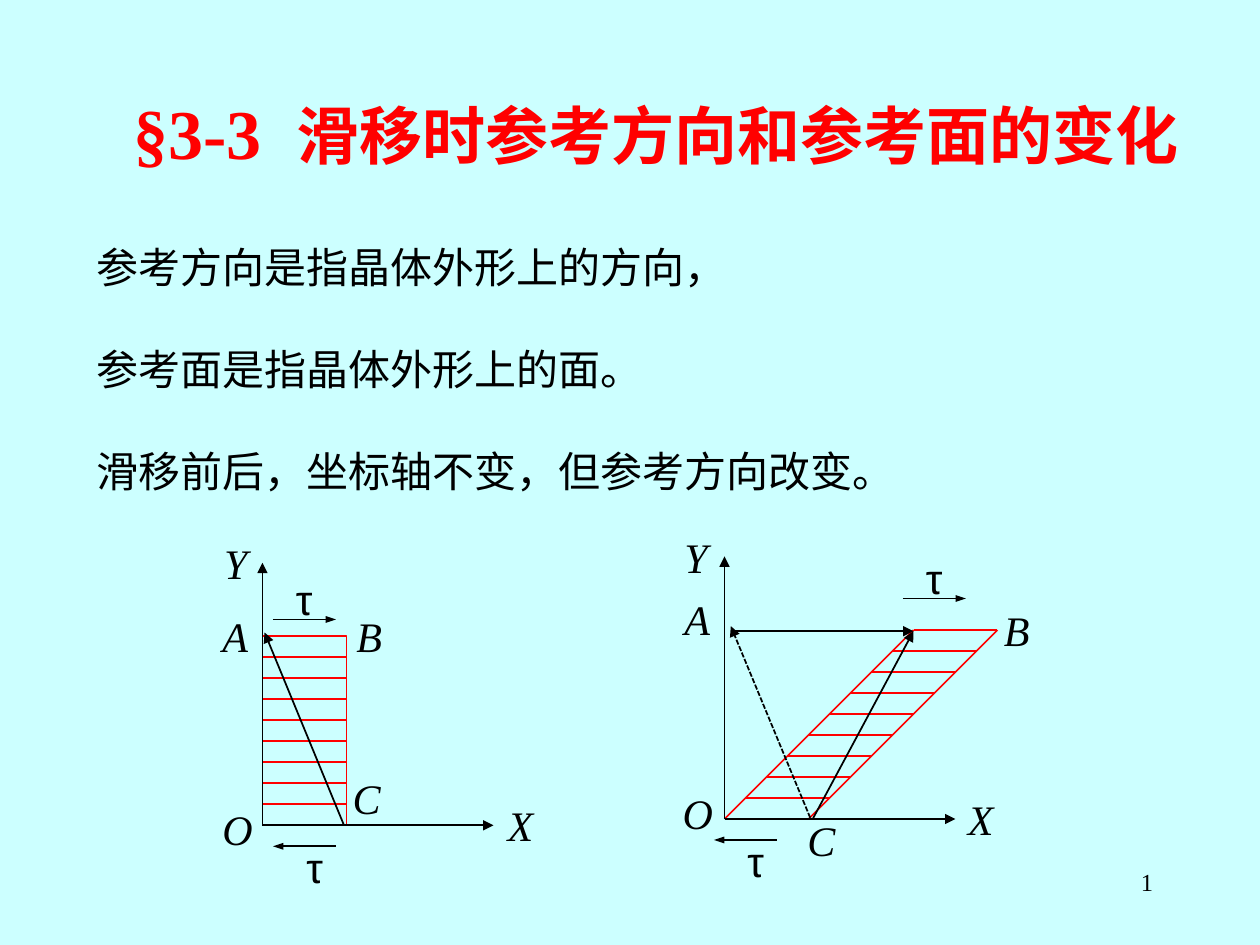
"""Build the slide on reference directions and planes before and after slip."""
from dataclasses import dataclass

from pptx import Presentation
from pptx.dml.color import RGBColor
from pptx.enum.dml import MSO_LINE
from pptx.enum.shapes import MSO_CONNECTOR, MSO_SHAPE
from pptx.enum.text import MSO_ANCHOR, PP_ALIGN
from pptx.oxml.ns import qn
from pptx.util import Pt
from lxml.etree import SubElement


@dataclass(frozen=True)
class Theme:
    background: RGBColor = RGBColor(0xCC, 0xFF, 0xFF)
    red: RGBColor = RGBColor(0xFF, 0, 0)
    black: RGBColor = RGBColor(0, 0, 0)
    serif: str = "Times New Roman"
    sans: str = "Arial"
    section: int = 40
    title: int = 36
    body: int = 24
    number: int = 14
    stroke: int = 1


theme = Theme()
deck = Presentation()
deck.slide_width, deck.slide_height = Pt(720), Pt(540)
page = deck.slides.add_slide(deck.slide_layouts[6])
page.background.fill.solid()
page.background.fill.fore_color.rgb = theme.background


def add_text(text, left, top, width, height, size=theme.body, font=theme.serif):
    box = page.shapes.add_textbox(Pt(left), Pt(top), Pt(width), Pt(height))
    box.text_frame.word_wrap = True
    box.text_frame.text = text
    for para in box.text_frame.paragraphs:
        for span in para.runs:
            span.font.size = Pt(size)
            span.font.name = font
            span.font.color.rgb = theme.black
    return box


def add_line(start, end, color=theme.black, head=None, dash=None):
    line = page.shapes.add_connector(MSO_CONNECTOR.STRAIGHT, *map(Pt, start + end))
    line.line.color.rgb = color
    line.line.width = Pt(theme.stroke)
    if dash:
        line.line.dash_style = dash
    if head:
        SubElement(line.line._get_or_add_ln(), qn("a:tailEnd"), type="triangle", w=head, len="med")
    SubElement(line._element.spPr, qn("a:effectLst"))


number = add_text("1", 516, 492, 150, 36, theme.number)
number.text_frame.paragraphs[0].alignment = PP_ALIGN.RIGHT

title = add_text("§3-3  ", 54, 30, 642, 90, theme.section)
title.text_frame.vertical_anchor = MSO_ANCHOR.MIDDLE
heading = title.text_frame.paragraphs[0]
heading.alignment = PP_ALIGN.CENTER
heading.add_run().text = "滑移时参考方向和参考面的变化"
heading.runs[1].font.size = Pt(theme.title)
heading.runs[1].font.name = theme.serif
for span in heading.runs:
    span.font.bold = True
    span.font.color.rgb = theme.red

statements = (
    "参考方向是指晶体外形上的方向，",
    "参考面是指晶体外形上的面。",
    "滑移前后，坐标轴不变，但参考方向改变。",
)
body = add_text("\n".join(statements), 48, 120, 594, 167)
for index, para in enumerate(body.text_frame.paragraphs):
    para.line_spacing = 1.5
    para.space_before = Pt(15 if index else 0)

rung_gap, crystal_width, crystal_height = 12, 48, 108
left_x, left_y = 150, 471.6
right_x, right_y = 414, 468

for step in range(1, 9):
    y = left_y - step * rung_gap
    add_line((left_x + crystal_width, y), (left_x, y), theme.red)
crystal = page.shapes.add_shape(
    MSO_SHAPE.RECTANGLE, Pt(left_x), Pt(left_y - crystal_height), Pt(crystal_width), Pt(crystal_height)
)
crystal.shadow.inherit = False
crystal.fill.background()
crystal.line.color.rgb = theme.red
crystal.line.width = Pt(theme.stroke)

for step in range(10):
    x, y = right_x + step * rung_gap, right_y - step * rung_gap
    add_line((x + crystal_width, y), (x, y), theme.red)
for x in (right_x, right_x + crystal_width):
    add_line((x + crystal_height, right_y - crystal_height), (x, right_y), theme.red)

for x, y in ((left_x, left_y), (right_x, right_y)):
    add_line((x, y), (x + 132, y), head="med")
    add_line((x, y), (x, y - 150), head="med")

for start, end in (
    ((156, 354), (192, 354)),
    ((192, 483.6), (156, 483.6)),
    ((516, 342), (552, 342)),
    ((444, 480), (408, 480)),
):
    add_line(start, end, head="sm")

add_line((196.6, 471.6), (151.2, 361.4), head="med")
add_line((464.4, 468), (522, 360.7), head="med")
add_line((463, 467.3), (417.6, 357.8), head="med", dash=MSO_LINE.SQUARE_DOT)
add_line((417.6, 360.7), (522, 360.7), head="med")

for left, top in ((162, 324), (168, 477.4), (522, 312), (420, 474)):
    add_text("τ", left, top, 42, 36, font=theme.sans)

for name, left, top in (
    ("X", 283, 453.6), ("Y", 121, 303.8), ("O", 120, 455.8),
    ("A", 120, 345.6), ("B", 196.6, 345.6), ("C", 194.4, 437.8),
    ("X", 546, 450), ("Y", 384, 300), ("O", 383, 446.4),
    ("A", 384, 335.5), ("B", 566.6, 342), ("C", 454.3, 462.2),
):
    label = add_text(name, left, top, 36, 36)
    label.text_frame.paragraphs[0].runs[0].font.italic = True

deck.save("out.pptx")
